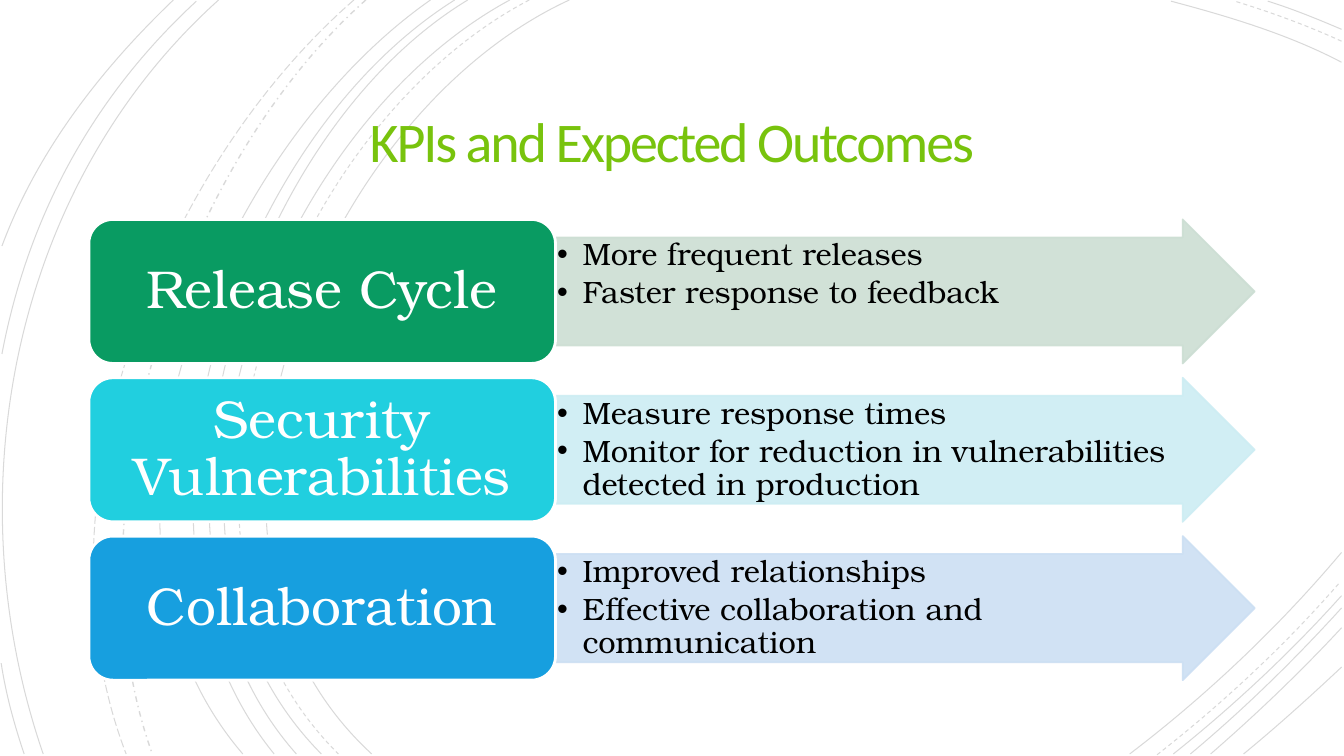
from dataclasses import dataclass

import pptx
import pptx.dml.color
import pptx.enum.dml
import pptx.enum.shapes
import pptx.enum.text
import pptx.oxml.ns
import pptx.util
from lxml import etree
from pptx.util import Cm

DASH = pptx.enum.dml.MSO_LINE
SHAPE = pptx.enum.shapes.MSO_SHAPE
ANCHOR = pptx.enum.text.MSO_ANCHOR
ALIGN = pptx.enum.text.PP_ALIGN


@dataclass(frozen=True)
class Theme:
    title_font: str = "Calibri"
    text_font: str = "TeX Gyre Bonum"
    title_size: int = 40
    card_size: int = 38
    list_size: int = 22
    title: str = "78C30D"
    light: str = "FFFFFF"
    dark: str = "000000"
    arc_opacity: int = 15
    arrow_opacity: int = 90


THEME = Theme()

OUTCOMES = [
    ("Release Cycle", "099B62", "CCDED3",
     ["More frequent releases", "Faster response to feedback"]),
    ("Security Vulnerabilities", "21CFDF", "CDEDF3",
     ["Measure response times",
      "Monitor for reduction in vulnerabilities detected in production"]),
    ("Collaboration", "179FDF", "CCDFF3",
     ["Improved relationships", "Effective collaboration and communication"]),
]
SLIDE_WIDTH, SLIDE_HEIGHT = 33.87, 19.05
FIRST_TOP, ROW_PITCH, ROW_HEIGHT = 5.53, 3.99, 3.63
CARD_LEFT, CARD_WIDTH = 2.24, 11.76
ARROW_LEFT, ARROW_WIDTH = 13.99, 17.63
LIST_OFFSET, LIST_WIDTH, LIST_HEIGHT = 0.45, 16.26, 2.72
LIST_INDENT = 0.64

ARCS = {
    (DASH.SOLID, 0.75): [
        ((14.35, 0), (8, 2.92), (3.63, 13.72), (9.37, 19)),
        ((33.81, 1.57), (32.46, 0.86), (30.94, 0.41), (29.51, 0.03)),
        ((28.47, 19), (30.4, 17.53), (32.23, 15.8), (33.81, 13.92)),
        ((12.85, 0), (6.86, 3.23), (2.79, 13.64), (8.1, 19)),
        ((33.81, 0.74), (33.2, 0.48), (32.59, 0.23), (31.95, 0.03)),
        ((29.57, 19), (31.06, 17.81), (32.51, 16.46), (33.81, 15.01)),
        ((11.79, 0), (6.2, 3.38), (2.79, 13.74), (7.47, 19)),
        ((30, 19), (31.34, 17.88), (32.61, 16.64), (33.81, 15.32)),
        ((11.46, 0), (5.87, 3.51), (2.46, 13.54), (6.91, 19)),
        ((30.51, 19), (31.65, 18.01), (32.77, 16.94), (33.81, 15.82)),
        ((10.85, 0), (5.51, 3.73), (1.35, 13.44), (6.12, 19)),
        ((31.34, 19), (32.18, 18.31), (32.99, 17.58), (33.81, 16.81)),
        ((5.51, 0), (0.28, 4.7), (-1.17, 12.45), (1.09, 19)),
        ((4.95, 0.03), (2.34, 2.44), (0.71, 5.44), (0.05, 8.92)),
        ((0.03, 16.71), (0.15, 17.5), (0.36, 18.26), (0.61, 19)),
        ((4.37, 0), (2.54, 1.75), (0.94, 3.81), (0.05, 6.2)),
    ],
    (DASH.DASH, 0.75): [
        ((13.34, 0), (7.24, 3.18), (3.12, 13.64), (8.53, 19)),
        ((33.81, 1.04), (32.94, 0.64), (32, 0.3), (31.12, 0.03)),
        ((29.16, 19.02), (30.81, 17.73), (32.39, 16.26), (33.78, 14.66)),
    ],
    (DASH.DASH_DOT, 1): [((9.22, 0), (4.47, 4.22), (1.65, 12.93), (3.84, 19))],
    (DASH.LONG_DASH, 0.75): [((8.92, 0), (3.99, 4.29), (0.74, 12.67), (3.18, 19))],
}


def rgb(value):
    return pptx.dml.color.RGBColor.from_string(value)


def add_child(parent, tag, **attributes):
    return etree.SubElement(parent, pptx.oxml.ns.qn(tag), attributes)


def set_opacity(shape, percent):
    for color in shape.element.spPr.iter(pptx.oxml.ns.qn("a:srgbClr")):
        add_child(color, "a:alpha", val=str(percent * 1000))


def place(shape, left, top, width, height):
    shape.left, shape.top = Cm(left), Cm(top)
    shape.width, shape.height = Cm(width), Cm(height)


def set_frame(frame, anchor, horizontal, vertical):
    frame.word_wrap = True
    frame.auto_size = pptx.enum.text.MSO_AUTO_SIZE.NONE
    frame.vertical_anchor = anchor
    frame.margin_left = frame.margin_right = Cm(horizontal)
    frame.margin_top = frame.margin_bottom = Cm(vertical)


def format_para(para, font, size, color, align, spacing, after=0):
    para.alignment = align
    para.line_spacing = spacing
    para.space_before = pptx.util.Pt(0)
    para.space_after = pptx.util.Pt(after)
    for span in para.runs:
        span.font.name = font
        span.font.size = pptx.util.Pt(size)
        span.font.bold = False
        span.font.color.rgb = rgb(color)


def bend(arc):
    segments = list(arc.element.spPr.iter(pptx.oxml.ns.qn("a:lnTo")))
    outline = segments[0].getparent()
    curve = add_child(outline, "a:cubicBezTo")
    for segment in segments:
        curve.append(segment[0])
        outline.remove(segment)


def add_arc(page, curve, dash, width):
    start, *controls = [(Cm(x), Cm(y)) for x, y in curve]
    builder = page.shapes.build_freeform(*start)
    builder.add_line_segments(controls, close=False)
    arc = builder.convert_to_shape()
    bend(arc)
    arc.shadow.inherit = False
    arc.fill.background()
    arc.line.color.rgb = rgb(THEME.dark)
    arc.line.width = pptx.util.Pt(width)
    arc.line.dash_style = dash
    set_opacity(arc, THEME.arc_opacity)


def add_block(page, kind, left, top, width, height, fill):
    block = page.shapes.add_shape(kind, Cm(left), Cm(top), Cm(width), Cm(height))
    block.shadow.inherit = False
    block.fill.solid()
    block.fill.fore_color.rgb = rgb(fill)
    block.line.fill.background()
    return block


def set_border(block, color, width):
    block.line.color.rgb = rgb(color)
    block.line.width = pptx.util.Pt(width)


def add_arrow(page, top, color):
    arrow = add_block(page, SHAPE.RIGHT_ARROW, ARROW_LEFT, top, ARROW_WIDTH,
                      ROW_HEIGHT, color)
    set_border(arrow, color, 1.25)
    arrow.adjustments[0] = 0.75
    arrow.adjustments[1] = 0.5
    set_opacity(arrow, THEME.arrow_opacity)


def add_card(page, top, text, color):
    card = add_block(page, SHAPE.ROUNDED_RECTANGLE, CARD_LEFT, top, CARD_WIDTH,
                     ROW_HEIGHT, color)
    set_border(card, THEME.light, 2)
    set_frame(card.text_frame, ANCHOR.MIDDLE, 0.4, 0.2)
    card.text_frame.text = text
    format_para(card.text_frame.paragraphs[0], THEME.text_font, THEME.card_size,
                THEME.light, ALIGN.CENTER, 0.9)


def fill_list(box, top, items):
    box.element.getparent().append(box.element)
    place(box, ARROW_LEFT, top + LIST_OFFSET, LIST_WIDTH, LIST_HEIGHT)
    set_frame(box.text_frame, ANCHOR.TOP, 0.05, 0.05)
    box.text_frame.text = "\n".join(items)
    for para in box.text_frame.paragraphs:
        format_para(para, THEME.text_font, THEME.list_size, THEME.dark,
                    ALIGN.LEFT, 0.9, 3.3)
        properties = para._p.get_or_add_pPr()
        properties.set("marL", str(Cm(LIST_INDENT)))
        properties.set("indent", str(-Cm(LIST_INDENT)))
        add_child(properties, "a:buFont", typeface="Arial")
        add_child(properties, "a:buChar", char="•")


def fill_title(title, text):
    title.element.getparent().append(title.element)
    place(title, 4.88, 2.21, 24.1, 2.92)
    set_frame(title.text_frame, ANCHOR.MIDDLE, 0.64, 0.64)
    title.text_frame.text = text
    para = title.text_frame.paragraphs[0]
    format_para(para, THEME.title_font, THEME.title_size, THEME.title,
                ALIGN.CENTER, 0.85)
    para.runs[0].font._element.set("spc", "-150")


def main():
    deck = pptx.Presentation()
    deck.slide_width, deck.slide_height = Cm(SLIDE_WIDTH), Cm(SLIDE_HEIGHT)
    page = deck.slides.add_slide(deck.slide_layouts.get_by_name("Comparison"))
    title, *lists = list(page.placeholders)
    add_block(page, SHAPE.RECTANGLE, 0, 0, SLIDE_WIDTH, SLIDE_HEIGHT, THEME.light)
    for (dash, width), curves in ARCS.items():
        for curve in curves:
            add_arc(page, curve, dash, width)
    fill_title(title, "KPIs and Expected Outcomes")
    for row, (name, strong, pale, items) in enumerate(OUTCOMES):
        top = FIRST_TOP + row * ROW_PITCH
        add_arrow(page, top, pale)
        fill_list(lists[row], top, items)
        add_card(page, top, name, strong)
    for spare in lists[len(OUTCOMES):]:
        spare.element.getparent().remove(spare.element)
    deck.save("out.pptx")


if __name__ == "__main__":
    main()
